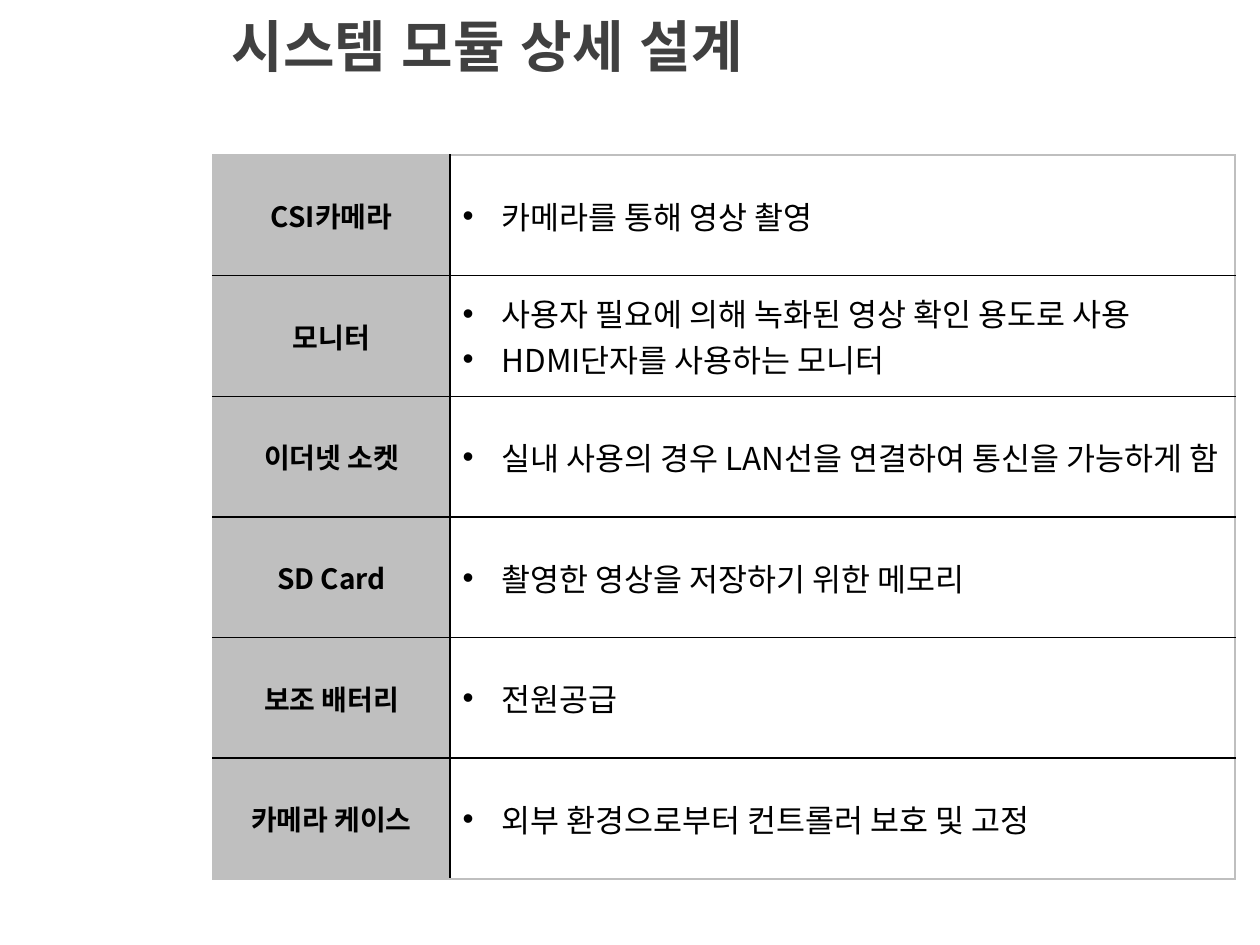
from lxml.etree import SubElement
from pptx import Presentation
from pptx.dml.color import RGBColor
from pptx.enum.text import MSO_ANCHOR, PP_ALIGN
from pptx.oxml import parse_xml
from pptx.oxml.ns import nsdecls, qn
from pptx.util import Emu, Pt

SCALE = 914400 / 126
BLACK = RGBColor(0x00, 0x00, 0x00)
DARK = RGBColor(0x40, 0x40, 0x40)
GRAY = RGBColor(0xBF, 0xBF, 0xBF)
WHITE = RGBColor(0xFF, 0xFF, 0xFF)
HEAD = "Arial"
BODY = "Noto Sans CJK KR"
INDENT = 39

PARTS = [
    ("CSI카메라", ["카메라를 통해 영상 촬영"]),
    ("모니터", ["사용자 필요에 의해 녹화된 영상 확인 용도로 사용",
             "HDMI단자를 사용하는 모니터"]),
    ("이더넷 소켓", ["실내 사용의 경우 LAN선을 연결하여 통신을 가능하게 함"]),
    ("SD Card", ["촬영한 영상을 저장하기 위한 메모리"]),
    ("보조 배터리", ["전원공급"]),
    ("카메라 케이스", ["외부 환경으로부터 컨트롤러 보호 및 고정"]),
]


def px(count):
    return Emu(round(count * SCALE))


def add_run(para, text, face, size, color, bold):
    run = para.add_run()
    run.text = text
    font = run.font
    font.name, font.size, font.bold = face, Pt(size), bold
    font.color.rgb = color
    SubElement(run._r.get_or_add_rPr(), qn("a:ea"), typeface=face)


def add_dot(para):
    props = para._p.get_or_add_pPr()
    props.set("marL", str(px(INDENT)))
    props.set("indent", str(-px(INDENT)))
    SubElement(props, qn("a:buFont"), typeface="Arial")
    SubElement(props, qn("a:buChar"), char="•")


def set_edges(cell, colors):
    props = cell._tc.get_or_add_tcPr()
    for spot, (side, color) in enumerate(zip("LRTB", colors)):
        props.insert(spot, parse_xml(
            f'<a:ln{side} {nsdecls("a")} w="12700"><a:solidFill>'
            f'<a:srgbClr val="{color}"/></a:solidFill></a:ln{side}>'))


def fill_cell(cell, lines, size, back, edges, label):
    cell.fill.solid()
    cell.fill.fore_color.rgb = back
    cell.vertical_anchor = MSO_ANCHOR.MIDDLE
    set_edges(cell, edges)
    frame = cell.text_frame
    for place, line in enumerate(lines):
        para = frame.add_paragraph() if place else frame.paragraphs[0]
        para.alignment = PP_ALIGN.CENTER if label else PP_ALIGN.LEFT
        if not label:
            add_dot(para)
        add_run(para, line, BODY, size, BLACK, label)


def place_title(slide, left, top, width, height):
    title = slide.shapes.title
    title.left, title.top = px(left), px(top)
    title.width, title.height = px(width), px(height)
    frame = title.text_frame
    frame.vertical_anchor = MSO_ANCHOR.MIDDLE
    para = frame.paragraphs[0]
    para.alignment = PP_ALIGN.LEFT
    add_run(para, "시스템 모듈 상세 설계", HEAD, 32, DARK, True)


def place_table(slide, left, top, width, height):
    count = len(PARTS)
    table = slide.shapes.add_table(
        count, 2, px(left), px(top), px(width), px(height)).table
    table.first_row = table.horz_banding = False
    side = 237
    table.columns[0].width = px(side)
    table.columns[1].width = px(width - side)
    for index, (name, notes) in enumerate(PARTS):
        table.rows[index].height = px(height / count)
        upper = BLACK if index else GRAY
        lower = BLACK if index < count - 1 else GRAY
        fill_cell(table.cell(index, 0), [name], 16, GRAY,
                  (GRAY, BLACK, upper, lower), True)
        fill_cell(table.cell(index, 1), notes, 18, WHITE,
                  (BLACK, GRAY, upper, lower), False)


def main():
    deck = Presentation()
    deck.slide_width, deck.slide_height = px(1260), px(945)
    slide = deck.slides.add_slide(deck.slide_layouts[5])
    place_title(slide, 219, 4, 1037, 82)
    place_table(slide, 213, 155, 1022, 724)
    deck.save("out.pptx")


if __name__ == "__main__":
    main()
